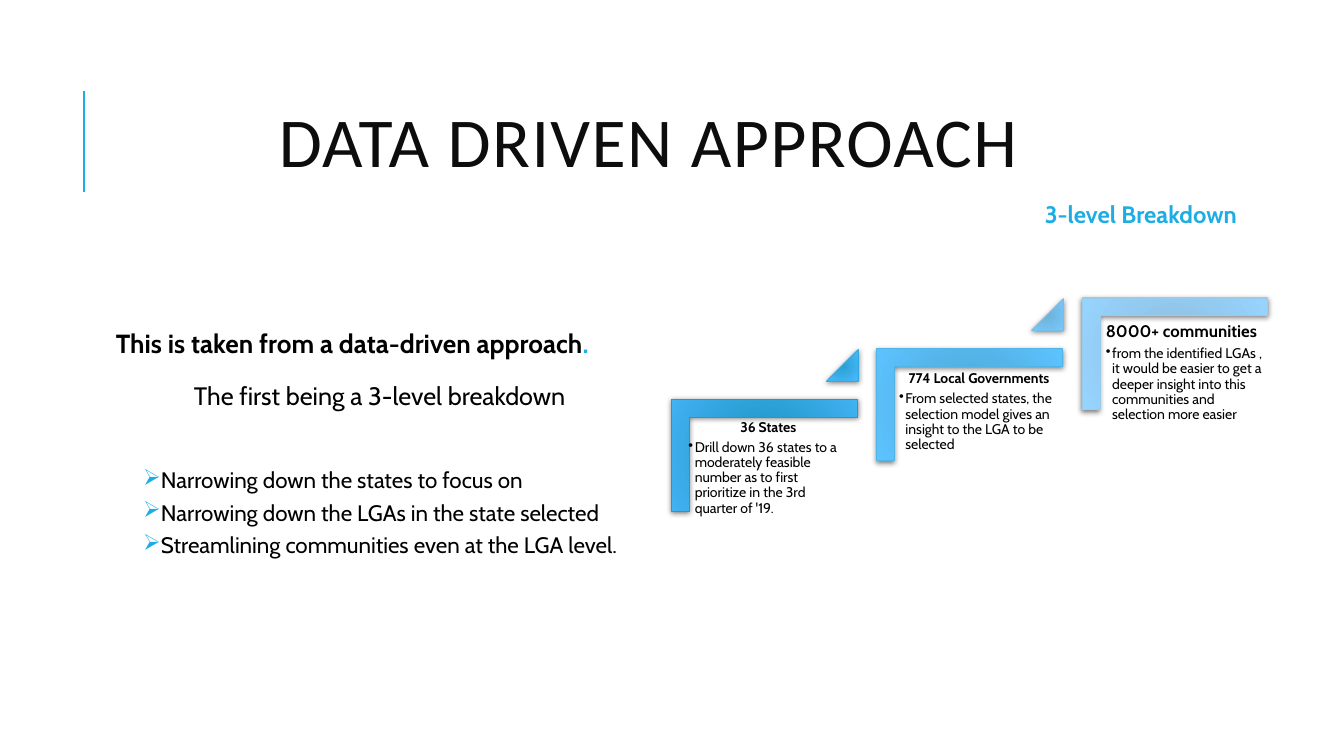
from dataclasses import dataclass

from lxml import etree
from pptx import Presentation
from pptx.dml.color import RGBColor
from pptx.enum.shapes import MSO_CONNECTOR, MSO_SHAPE
from pptx.enum.text import MSO_ANCHOR, PP_ALIGN
from pptx.oxml.ns import qn
from pptx.util import Cm, Pt

LEFT, MID, RIGHT = PP_ALIGN.LEFT, PP_ALIGN.CENTER, PP_ALIGN.RIGHT
TOP, CENTRE = MSO_ANCHOR.TOP, MSO_ANCHOR.MIDDLE
CORNER, WEDGE = MSO_SHAPE.CORNER, MSO_SHAPE.ISOSCELES_TRIANGLE
STRAIGHT = MSO_CONNECTOR.STRAIGHT
BLUE, BLACK, INK = "1CADE4", "000000", "0D0D0D"


@dataclass
class Run:
    text: str
    size: float
    bold: bool = False
    hue: str = BLACK
    font: str = "Cabin"
    track: int = 0


@dataclass
class Para:
    runs: list[Run]
    align: PP_ALIGN = LEFT
    pitch: float = 0.9
    before: float = 0
    after: float = 0
    mark: str = ""
    tint: str = BLACK
    indent: float = 0


@dataclass
class Box:
    left: float
    top: float
    width: float
    height: float


@dataclass
class Tone:
    inner: str
    outer: str
    edge: str


@dataclass
class Step:
    head: str
    body: str
    size: float
    align: PP_ALIGN
    box: Box
    inset: float
    tone: Tone


def colour(code: str) -> RGBColor:
    return RGBColor.from_string(code)


def child(node, tag: str, **attrs):
    return etree.SubElement(node, qn(tag), attrs)


def add_mark(para, item: Para) -> None:
    para.level = 1
    props = para._p.get_or_add_pPr()
    props.set("marL", str(Cm(item.indent)))
    props.set("indent", str(-Cm(min(item.indent, 0.38))))
    child(child(props, "a:buClr"), "a:srgbClr", val=item.tint)
    child(props, "a:buChar", char=item.mark)


def add_text(box: Box, items: list[Para], anchor=TOP,
             side: float = 0.13, edge: float = 0.13) -> None:
    shape = slide.shapes.add_textbox(
        Cm(box.left), Cm(box.top), Cm(box.width), Cm(box.height))
    frame = shape.text_frame
    frame.word_wrap = True
    frame.vertical_anchor = anchor
    frame.margin_left = frame.margin_right = Cm(side)
    frame.margin_top = frame.margin_bottom = Cm(edge)
    for i, item in enumerate(items):
        para = frame.add_paragraph() if i else frame.paragraphs[0]
        para.alignment = item.align
        para.line_spacing = item.pitch
        para.space_before = Pt(item.before)
        para.space_after = Pt(item.after)
        if item.mark:
            add_mark(para, item)
        for part in item.runs:
            run = para.add_run()
            run.text = part.text
            run.font.size = Pt(part.size)
            run.font.bold = part.bold
            run.font.name = part.font
            run.font.color.rgb = colour(part.hue)
            if part.track:
                run._r.get_or_add_rPr().set("spc", str(part.track))


def add_block(kind, box: Box, tone: Tone, adjust: list[float], turn: float = 0) -> None:
    shape = slide.shapes.add_shape(
        kind, Cm(box.left), Cm(box.top), Cm(box.width), Cm(box.height))
    shape.rotation = turn
    for i, value in enumerate(adjust):
        shape.adjustments[i] = value
    shape.line.color.rgb = colour(tone.edge)
    shape.line.width = Pt(0.75)
    # Radial gradient
    shape.fill.gradient()
    for stop, code in zip(shape.fill.gradient_stops, (tone.inner, tone.outer)):
        stop.color.rgb = colour(code)
    props = shape._element.spPr
    grad = props.find(qn("a:gradFill"))
    grad.remove(grad.find(qn("a:lin")))
    child(child(grad, "a:path", path="circle"), "a:fillToRect",
          **dict.fromkeys("ltrb", "100000"))
    # Soft shadow below
    shape.shadow.inherit = False
    cast = child(props.find(qn("a:effectLst")), "a:outerShdw", blurRad=str(Pt(4)),
                 dist=str(Pt(1)), dir="5400000", rotWithShape="0")
    child(child(cast, "a:srgbClr", val=BLACK), "a:alpha", val="50000")


deck = Presentation()
deck.slide_width, deck.slide_height = Cm(33.87), Cm(19.05)
slide = deck.slides.add_slide(deck.slide_layouts[6])

# Accent line and title
rule = slide.shapes.add_connector(STRAIGHT, Cm(2.12), Cm(4.83), Cm(2.12), Cm(2.29))
rule.line.color.rgb = colour(BLUE)
rule.line.width = Pt(1.5)
child(rule._element.spPr, "a:effectLst")
add_text(Box(2.84, 1.63, 27, 4.17),
         [Para([Run("DATA DRIVEN APPROACH", 50, hue=INK, font="Calibri", track=100)],
               MID, 0.8)], CENTRE, 0.25)

# Left column
add_text(Box(2.54, 8.03, 14.1, 1.4),
         [Para([Run("This is taken from a data-driven approach", 18.7, True),
                Run(".", 18.7, True, BLUE)], pitch=0.7)], CENTRE, 0.38)
GOALS = ["Narrowing down the states to focus on",
         "Narrowing down the LGAs in the state selected",
         "Streamlining communities even at the LGA level."]
lead = Para([Run("The first being a 3-level breakdown", 18)], MID, before=12, after=2)
goals = [Para([Run(goal, 16)], before=2 if i else 40, after=4,
              mark="➢", tint=BLUE, indent=0.74) for i, goal in enumerate(GOALS)]
add_text(Box(3.12, 9.53, 12.9, 8.05), [lead, *goals])

# Right heading
add_text(Box(16.92, 4.78, 14.63, 1.4),
         [Para([Run("3-level Breakdown", 17, True, BLUE)], RIGHT, 0.7)], CENTRE, 0.38)

# Rising steps
STEPS = [
    Step("36 States",
         "Drill down 36 states to a moderately feasible number as to first "
         "prioritize in the 3rd quarter of '19.",
         10, MID, Box(17.25, 10.49, 4.22, 2.82), 0.1, Tone("1892C1", "42B2F2", "199DCF")),
    Step("774 Local Governments",
         "From selected states, the selection model gives an insight to the LGA "
         "to be selected",
         10, MID, Box(22.56, 9.27, 4.22, 3.71), 0.1, Tone("4CA7D5", "5DC3FF", "52B3E5")),
    Step("8000+ communities",
         "from the identified LGAs , it would be easier to get a deeper insight "
         "into this communities and selection more easier",
         12, LEFT, Box(27.74, 8, 4.22, 3.71), 0.13, Tone("8EBDDC", "96D4FF", "99CBEC")),
]
WEDGES = [Tone("2A9FD3", "4BBCFF", "2DABE2"), Tone("6EB1D8", "77CAFF", "76BEE8")]
STRIDE, RISE = 5.17, 1.28

for i, step in enumerate(STEPS):
    across, up = i * STRIDE, i * RISE
    add_block(CORNER, Box(17.86 + across, 9.14 - up, 2.82, 4.68),
              step.tone, [0.16, 0.16], 90)
    add_text(step.box,
             [Para([Run(step.head, step.size, True)], step.align, after=step.size * 0.35),
              Para([Run(step.body, 10)], after=1.5, mark="•", indent=0.16)],
             side=step.inset, edge=step.inset)
    if i < len(WEDGES):
        add_block(WEDGE, Box(20.83 + across, 8.81 - up, 0.8, 0.8), WEDGES[i], [1])

deck.save("out.pptx")
